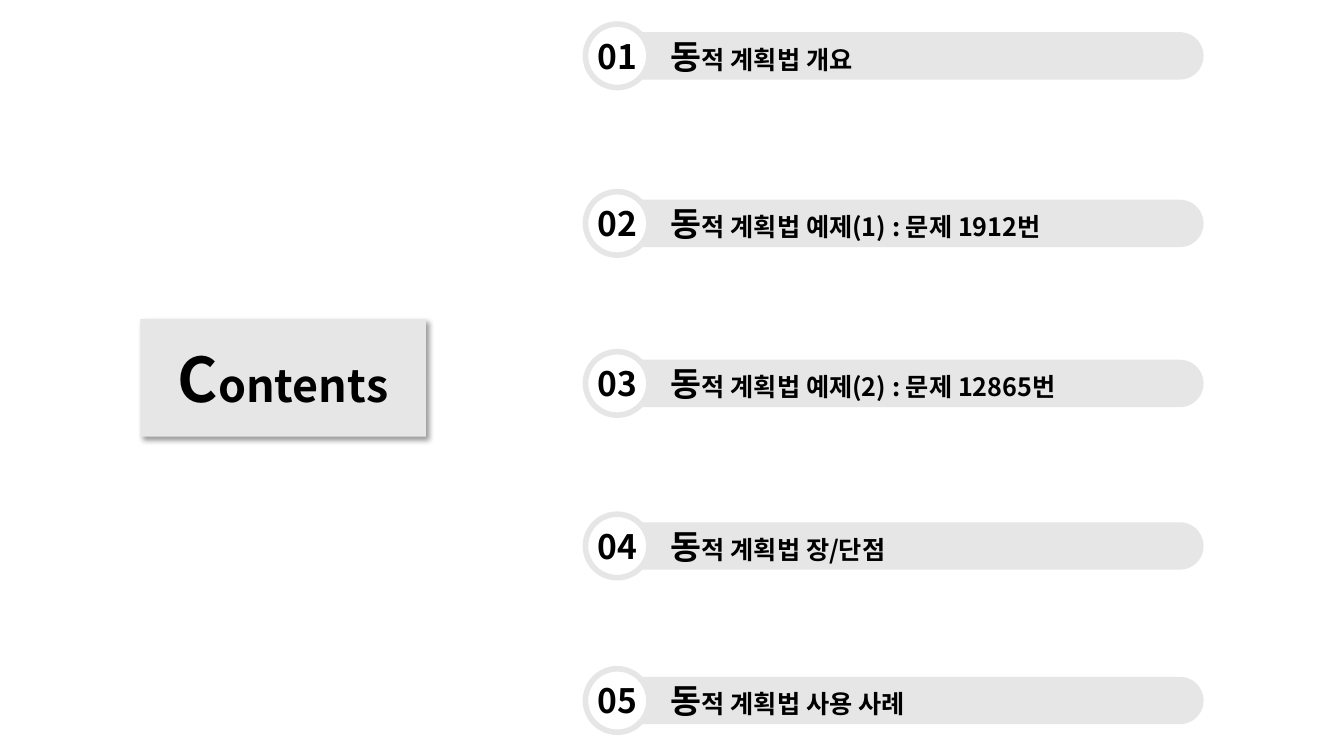
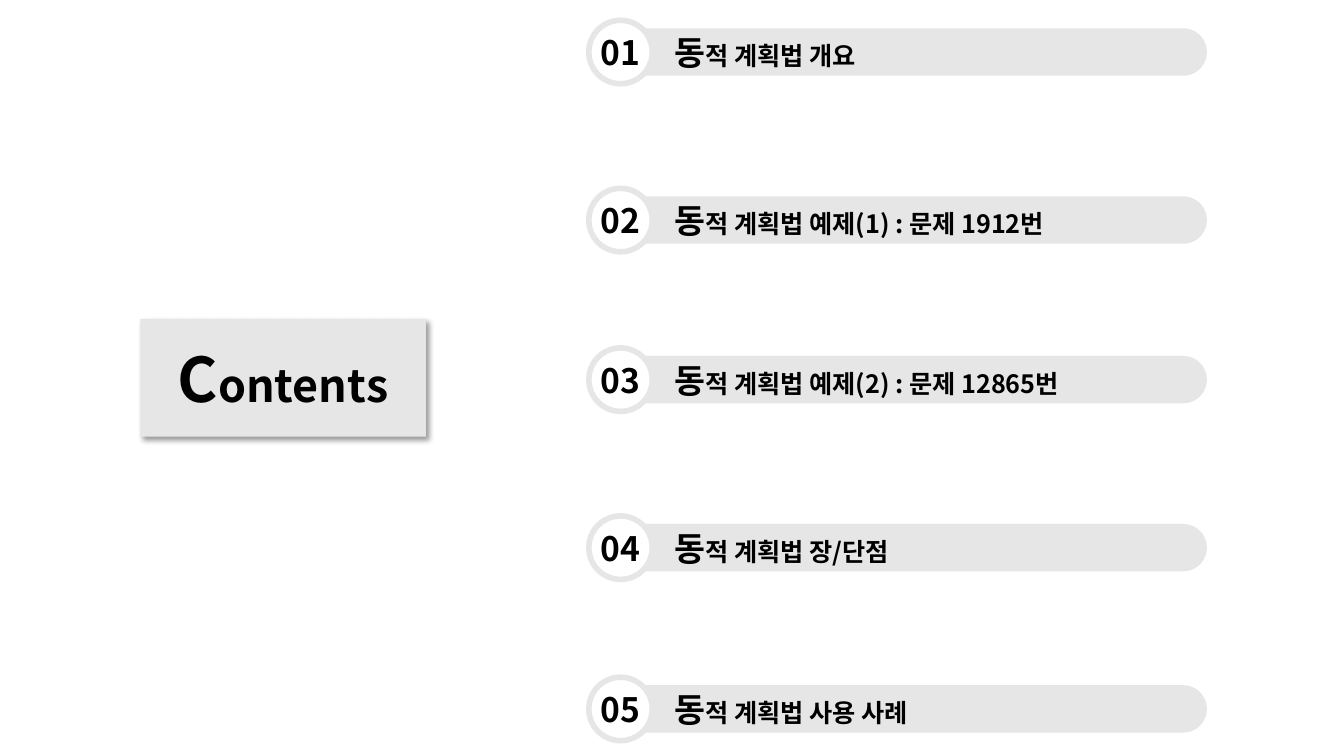
from dataclasses import dataclass

from lxml.etree import SubElement
from pptx import Presentation
from pptx.dml.color import RGBColor
from pptx.enum.shapes import MSO_SHAPE
from pptx.enum.text import MSO_ANCHOR, MSO_AUTO_SIZE, PP_ALIGN
from pptx.oxml.ns import qn
from pptx.util import Inches, Pt


@dataclass(frozen=True)
class Theme:
    font: str = "Noto Sans CJK KR"
    ink: RGBColor = RGBColor(0, 0, 0)
    paper: RGBColor = RGBColor(255, 255, 255)
    band: RGBColor = RGBColor(0xE7, 0xE6, 0xE6)
    title_cap: int = 44
    title: int = 32
    item_cap: int = 24
    item: int = 18
    ring: int = 4


THEME = Theme()

# Grid of 160 columns by 90 rows with square cells
COLS, ROWS = 160, 90
CELL = Inches(7.5) / ROWS

TITLE_BOX = (16.7, 38, 34, 14)
BADGE = 7.56
BAR_LENGTH, BAR_HEIGHT = 69.8, 5.64
LABEL_OFFSET, LABEL_WIDTH, LABEL_HEIGHT = 9, 62.4, 6

ITEMS = [
    "동적 계획법 개요",
    "동적 계획법 예제(1) : 문제 1912번",
    "동적 계획법 예제(2) : 문제 12865번",
    "동적 계획법 장/단점",
    "동적 계획법 사용 사례",
]
# Left column of the list and centre row of each item, per slide
AGENDAS = [
    (69.7, (6.65, 26.6, 45.65, 65, 83.4)),
    (70.1, (6.2, 26.2, 45.2, 65.2, 84.4)),
]


def cells(*values):
    return [round(v * CELL) for v in values]


def apply(target, formats):
    for name, value in formats.items():
        setattr(target, name, value)


def write(s, runs, align, **frame):
    """Fill a shape with one paragraph of (text, size) runs."""
    tf = s.text_frame
    apply(tf, {"vertical_anchor": MSO_ANCHOR.MIDDLE,
               "auto_size": MSO_AUTO_SIZE.NONE, "word_wrap": True, **frame})
    p = tf.paragraphs[0]
    p.alignment = align
    for text, size in runs:
        r = p.add_run()
        r.text = text
        apply(r.font, {"name": THEME.font, "size": Pt(size), "bold": True})
        r.font.color.rgb = THEME.ink
        SubElement(r.font._element, qn("a:ea"), typeface=THEME.font)


def capped(text, cap_size, size):
    """Split text into an enlarged first letter and the rest."""
    return [(text[0], cap_size), (text[1:], size)]


def paint(s, fill):
    s.fill.solid()
    s.fill.fore_color.rgb = fill
    s.line.fill.background()


def drop_shadow(s):
    effects = SubElement(s._element.spPr, qn("a:effectLst"))
    shadow = SubElement(effects, qn("a:outerShdw"), blurRad=str(Pt(4)),
                        dist=str(Pt(3)), dir=str(45 * 60000),
                        algn="tl", rotWithShape="0")
    color = SubElement(shadow, qn("a:srgbClr"), val=str(THEME.ink))
    SubElement(color, qn("a:alpha"), val="40000")


def add_title(slide, text):
    s = slide.shapes.title
    apply(s, dict(zip(("left", "top", "width", "height"), cells(*TITLE_BOX))))
    paint(s, THEME.band)
    drop_shadow(s)
    write(s, capped(text, THEME.title_cap, THEME.title), PP_ALIGN.CENTER)


def add_bar(shapes, left, middle):
    # Drawn upright, then turned so that the rounded end points right
    s = shapes.add_shape(
        MSO_SHAPE.ROUND_2_SAME_RECTANGLE,
        *cells(left + (BAR_LENGTH - BAR_HEIGHT) / 2, middle - BAR_LENGTH / 2,
               BAR_HEIGHT, BAR_LENGTH))
    s.adjustments[0], s.adjustments[1] = 0.5, 0
    s.rotation = 90
    s.shadow.inherit = False
    paint(s, THEME.band)


def add_badge(shapes, left, middle, number):
    s = shapes.add_shape(MSO_SHAPE.OVAL,
                         *cells(left, middle - BADGE / 2, BADGE, BADGE))
    s.shadow.inherit = False
    paint(s, THEME.paper)
    s.line.color.rgb = THEME.band
    s.line.width = Pt(THEME.ring)
    write(s, [(f"{number:02}", THEME.item_cap)], PP_ALIGN.CENTER,
          word_wrap=False, margin_left=0, margin_right=0,
          margin_top=0, margin_bottom=0)


def add_label(shapes, left, middle, text):
    s = shapes.add_textbox(*cells(left, middle - LABEL_HEIGHT / 2,
                                  LABEL_WIDTH, LABEL_HEIGHT))
    write(s, capped(text, THEME.item_cap, THEME.item), PP_ALIGN.LEFT)


def add_item(slide, left, middle, number, text):
    shapes = slide.shapes.add_group_shape().shapes
    add_bar(shapes, left + BADGE / 2, middle)
    add_badge(shapes, left, middle, number)
    add_label(shapes, left + LABEL_OFFSET, middle, text)


def main():
    prs = Presentation()
    prs.slide_width, prs.slide_height = cells(COLS, ROWS)
    title_only = prs.slide_layouts.get_by_name("Title Only")
    for left, middles in AGENDAS:
        slide = prs.slides.add_slide(title_only)
        add_title(slide, "Contents")
        for number, (middle, text) in enumerate(zip(middles, ITEMS), 1):
            add_item(slide, left, middle, number, text)
    prs.save("out.pptx")


if __name__ == "__main__":
    main()
